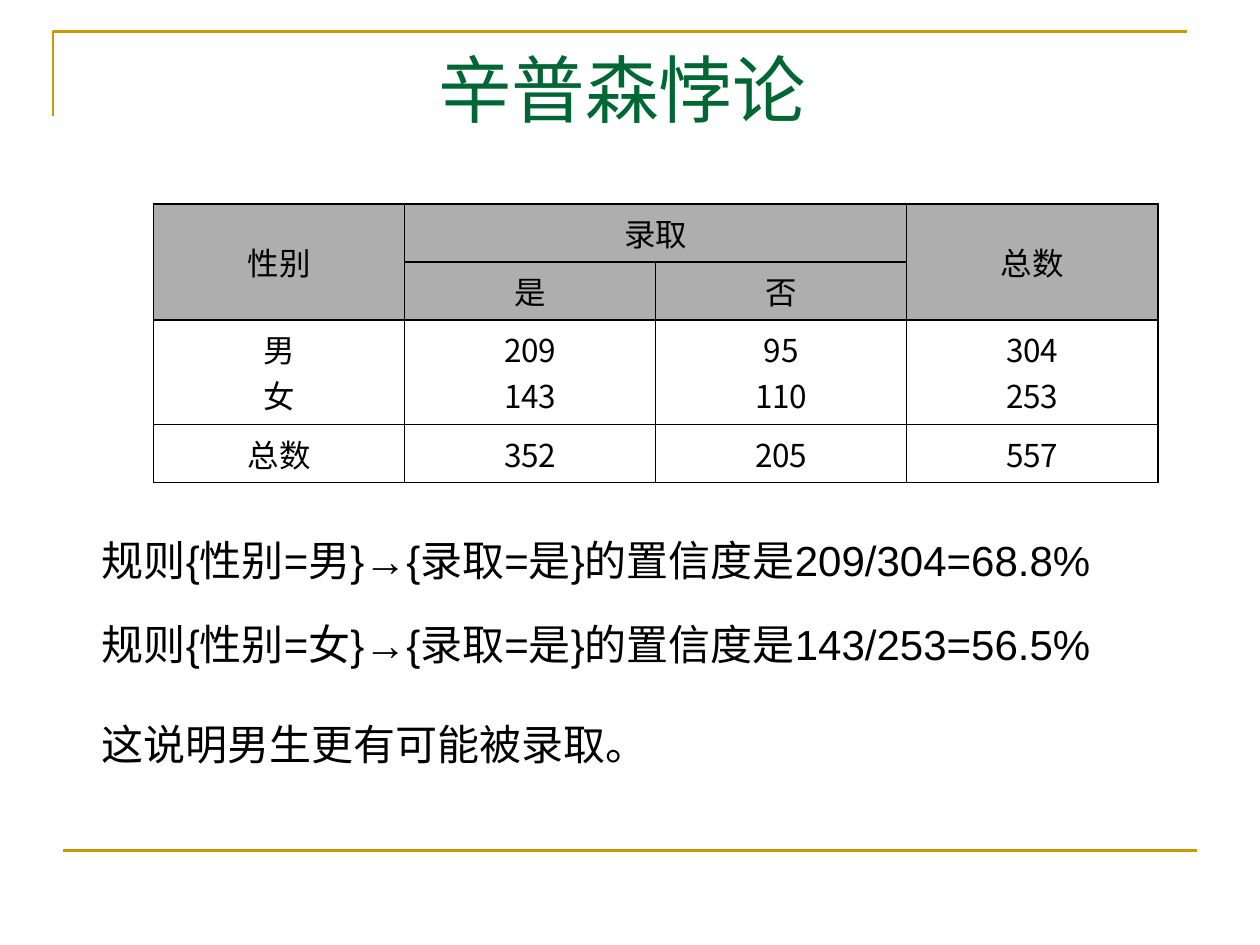
from itertools import product

from lxml.etree import SubElement
from pptx import Presentation
from pptx.dml.color import RGBColor
from pptx.enum.shapes import MSO_CONNECTOR
from pptx.enum.text import MSO_ANCHOR as Anchor, MSO_AUTO_SIZE as AutoSize, PP_ALIGN as Align
from pptx.oxml.ns import qn
from pptx.util import Inches, Pt

GOLD, GREEN, BLACK, GREY = "CC9900", "006633", "000000", "5F5F5F"
EAST_ASIAN = "Noto Sans CJK SC"


def colour(value):
    return RGBColor.from_string(value)


def grid(*cells):
    return [Inches(cell / 4) for cell in cells]


class Deck:
    def __init__(self):
        self.presentation = Presentation()
        self.presentation.slide_width, self.presentation.slide_height = grid(40, 30)
        self.slide = self.presentation.slides.add_slide(self.presentation.slide_layouts[5])

    def style(self, paragraph, size, face, tint=BLACK):
        font = paragraph.font
        font.size, font.name = Pt(size), face
        font.color.rgb = colour(tint)
        SubElement(paragraph._p.pPr.find(qn("a:defRPr")), qn("a:ea"), typeface=EAST_ASIAN)

    def outline(self, line):
        line.color.rgb = colour(GOLD)
        line.width = Pt(1.5)

    def corner(self, left, top, right, bottom):
        left, top, right, bottom = grid(left, top, right, bottom)
        builder = self.slide.shapes.build_freeform(left, bottom)
        builder.add_line_segments([(left, top), (right, top)], close=False)
        frame = builder.convert_to_shape()
        frame.fill.background()
        frame.shadow.inherit = False
        self.outline(frame.line)

    def rule(self, left, right, row):
        line = self.slide.shapes.add_connector(
            MSO_CONNECTOR.STRAIGHT, *grid(left, row, right, row))
        self.outline(line.line)
        SubElement(line._element.spPr, qn("a:effectLst"))

    def title(self, wording, *place):
        heading = self.slide.shapes.title
        heading.left, heading.top, heading.width, heading.height = grid(*place)
        frame = heading.text_frame
        frame.text = wording
        frame.vertical_anchor, frame.auto_size = Anchor.TOP, AutoSize.NONE
        frame.paragraphs[0].alignment = Align.CENTER
        self.style(frame.paragraphs[0], 42, "Times New Roman", GREEN)

    def body(self, statements, *place):
        frame = self.slide.shapes.add_textbox(*grid(*place)).text_frame
        frame.word_wrap = True
        frame.text = "\n".join(statements)
        for paragraph in frame.paragraphs:
            paragraph.line_spacing, paragraph.space_before = 1.5, Pt(4.8)
            properties = paragraph._p.get_or_add_pPr()
            properties.set("marL", str(Inches(0.38)))
            properties.set("indent", str(Inches(-0.17)))
            self.style(paragraph, 24, "Arial")
        trailing = frame.paragraphs[-1].add_run()
        trailing.text, trailing.font.size = " ", Pt(30)

    def cell(self, cell, wording, shaded):
        cell.text = wording
        cell.vertical_anchor = Anchor.MIDDLE if cell.is_merge_origin else Anchor.TOP
        for paragraph in cell.text_frame.paragraphs:
            paragraph.alignment = Align.CENTER
            self.style(paragraph, 18, EAST_ASIAN)
        properties = cell._tc.get_or_add_tcPr()
        for side in ("lnL", "lnR", "lnT", "lnB"):
            border = SubElement(properties, qn(f"a:{side}"), w=str(Pt(1)))
            SubElement(SubElement(border, qn("a:solidFill")), qn("a:srgbClr"), val=BLACK)
        if shaded:
            cell.fill.solid()
            cell.fill.fore_color.rgb = colour(GREY)
            tint = properties.find(qn("a:solidFill")).find(qn("a:srgbClr"))
            SubElement(tint, qn("a:alpha"), val="50000")
        else:
            cell.fill.background()

    def table(self, rows, heights, merges, header_rows, *place):
        table = self.slide.shapes.add_table(len(rows), len(rows[0]), *grid(*place)).table
        for row, height in zip(table.rows, heights):
            row.height = Inches(height)
        for first, last in merges:
            table.cell(*first).merge(table.cell(*last))
        for row, column in product(range(len(rows)), range(len(rows[0]))):
            self.cell(table.cell(row, column), rows[row][column], row < header_rows)


def main():
    deck = Deck()
    deck.corner(1.68, 1, 37.68, 3.68)
    deck.rule(2, 38, 27)
    deck.title("辛普森悖论 ", 2, 1.2, 36, 5)
    deck.body([
        "规则{性别=男}→{录取=是}的置信度是209/304=68.8%",
        "规则{性别=女}→{录取=是}的置信度是143/253=56.5%",
        "这说明男生更有可能被录取。",
    ], 2, 15.96, 36, 10.88)
    admissions = [
        ["性别", "录取", "", "总数"],
        ["", "是", "否", ""],
        ["男\n女", "209\n143", "95\n110", "304\n253"],
        ["总数", "352", "205", "557"],
    ]
    merges = [((0, 0), (1, 0)), ((0, 1), (0, 2)), ((0, 3), (1, 3))]
    deck.table(admissions, [0.46, 0.46, 0.83, 0.46], merges, 2, 4.88, 6.48, 31.88, 8.84)
    deck.presentation.save("out.pptx")


if __name__ == "__main__":
    main()
